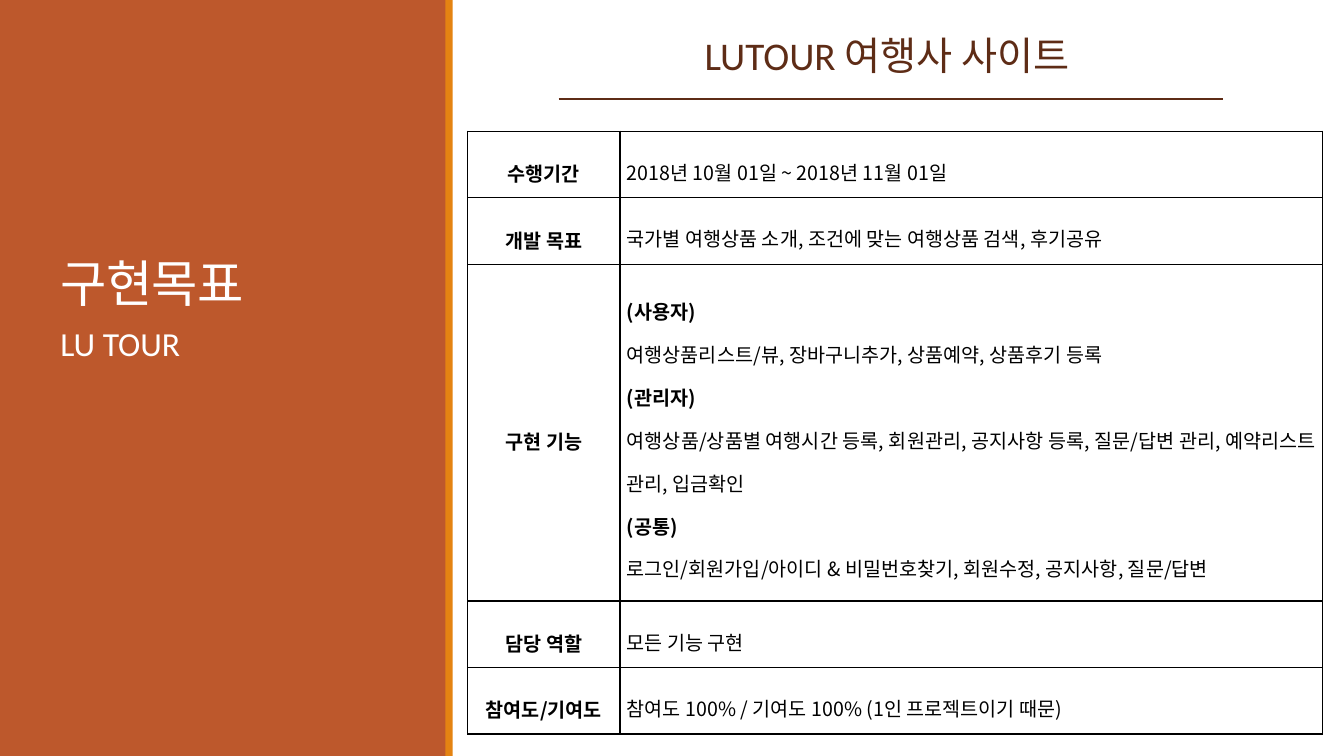
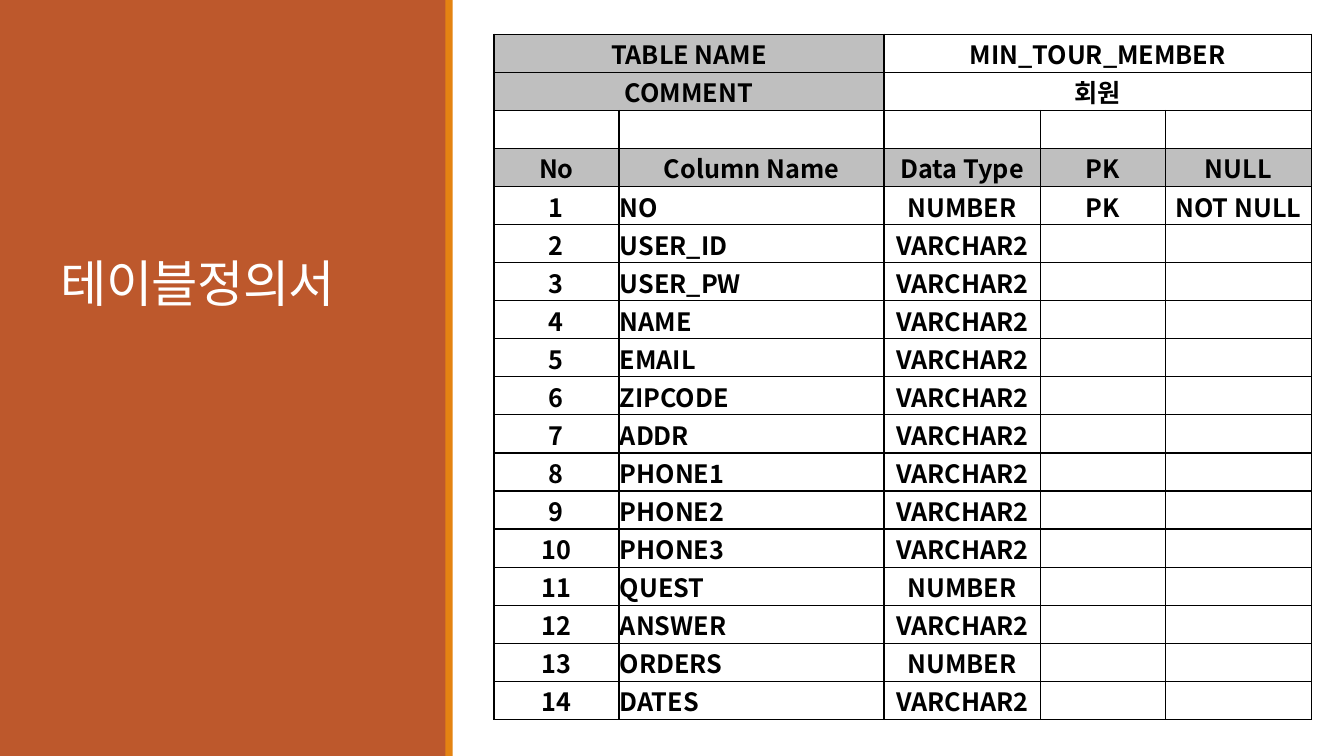
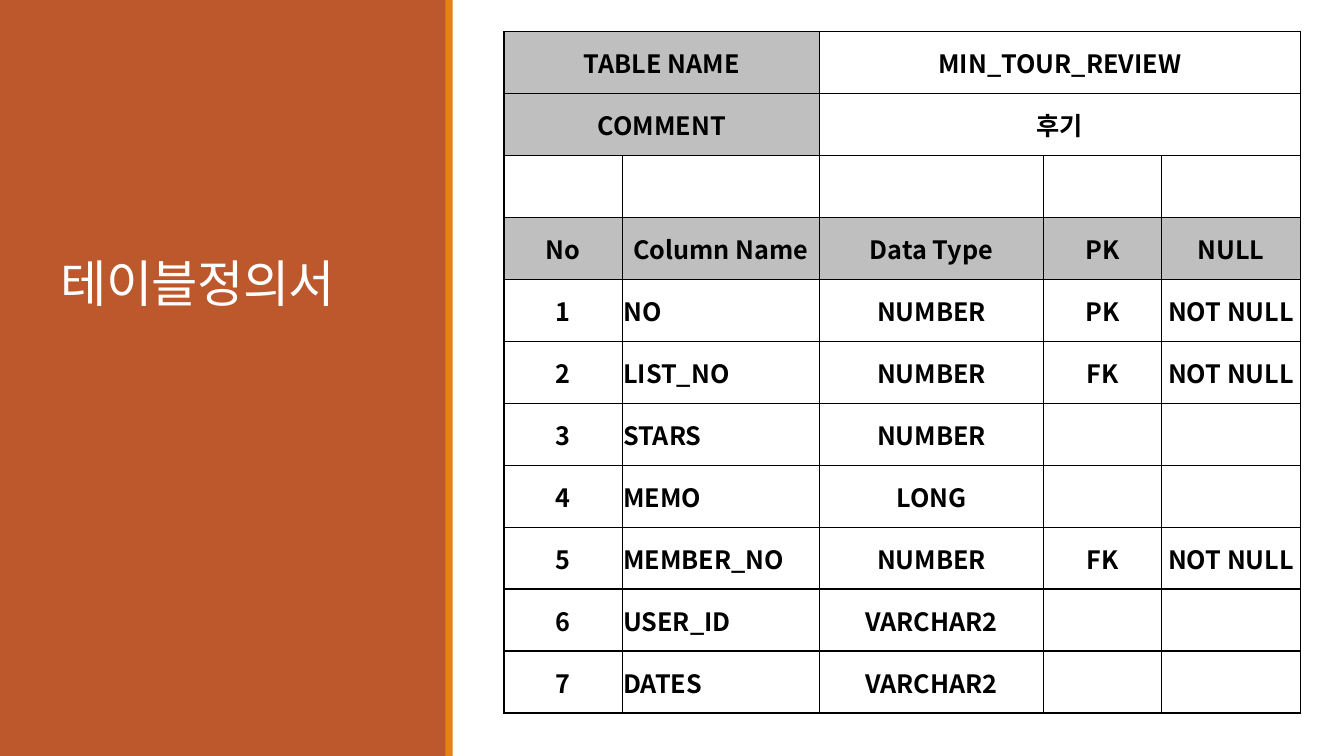
import itertools
from dataclasses import dataclass

import pptx
import pptx.dml.color
import pptx.enum.shapes
import pptx.enum.text
import pptx.oxml
import pptx.oxml.ns
import pptx.util

Pt = pptx.util.Pt
ALIGN = pptx.enum.text.PP_ALIGN
ANCHOR = pptx.enum.text.MSO_ANCHOR


@dataclass(frozen=True)
class Theme:
    panel: str = "BD582C"
    stripe: str = "E48312"
    heading: str = "5E2C16"
    white: str = "FFFFFF"
    black: str = "000000"
    header: str = "BFBFBF"
    latin: str = "Calibri"
    korean: str = "Noto Sans CJK KR"
    title_size: float = 36
    heading_size: float = 28
    subtitle_size: float = 24
    schema_size: float = 18
    goal_size: float = 14


THEME = Theme()

# Content
GOAL_TITLE = "구현목표"
GOAL_SUBTITLE = "LU TOUR"
GOAL_HEADING = "LUTOUR 여행사 사이트"
GOALS = [
    ("수행기간", ["2018년 10월 01일 ~ 2018년 11월 01일"]),
    ("개발 목표", ["국가별 여행상품 소개, 조건에 맞는 여행상품 검색, 후기공유"]),
    ("구현 기능", [
        "(사용자)",
        "여행상품리스트/뷰, 장바구니추가, 상품예약, 상품후기 등록",
        "(관리자)",
        "여행상품/상품별 여행시간 등록, 회원관리, 공지사항 등록, 질문/답변 관리, "
        "예약리스트 관리, 입금확인",
        "(공통)",
        "로그인/회원가입/아이디 & 비밀번호찾기, 회원수정, 공지사항, 질문/답변",
    ]),
    ("담당 역할", ["모든 기능 구현"]),
    ("참여도/기여도", ["참여도 100% / 기여도 100% (1인 프로젝트이기 때문)"]),
]
GOAL_COLUMNS = [108.6, 501.8]
GOAL_ROWS = [47.5, 47.5, 240.6, 47.5, 47.5]

SCHEMA_TITLE = "테이블정의서"
SCHEMA_HEADER = ["No", "Column Name", "Data Type", "PK", "NULL"]
# Each field is name, type and key; a key column is always NOT NULL
SCHEMAS = [
    {
        "name": "MIN_TOUR_MEMBER", "comment": "회원",
        "left": 352.8, "top": 24.5, "row_height": 27.2,
        "columns": [89.3, 189.4, 111.6, 89.3, 104.4],
        "fields": [
            ("NO", "NUMBER", "PK"), ("USER_ID", "VARCHAR2", ""),
            ("USER_PW", "VARCHAR2", ""), ("NAME", "VARCHAR2", ""),
            ("EMAIL", "VARCHAR2", ""), ("ZIPCODE", "VARCHAR2", ""),
            ("ADDR", "VARCHAR2", ""), ("PHONE1", "VARCHAR2", ""),
            ("PHONE2", "VARCHAR2", ""), ("PHONE3", "VARCHAR2", ""),
            ("QUEST", "NUMBER", ""), ("ANSWER", "VARCHAR2", ""),
            ("ORDERS", "NUMBER", ""), ("DATES", "VARCHAR2", ""),
        ],
    },
    {
        "name": "MIN_TOUR_REVIEW", "comment": "후기",
        "left": 360, "top": 22.5, "row_height": 44.25,
        "columns": [84.5, 141, 160, 84.5, 98.8],
        "fields": [
            ("NO", "NUMBER", "PK"), ("LIST_NO", "NUMBER", "FK"),
            ("STARS", "NUMBER", ""), ("MEMO", "LONG", ""),
            ("MEMBER_NO", "NUMBER", "FK"), ("USER_ID", "VARCHAR2", ""),
            ("DATES", "VARCHAR2", ""),
        ],
    },
]


def rgb(value):
    return pptx.dml.color.RGBColor.from_string(value)


# Text
def add_run(paragraph, text, size, color, font=THEME.latin, bold=False, spacing=None):
    run = paragraph.add_run()
    run.text = text
    run.font.size = Pt(size)
    run.font.bold = bold
    run.font.color.rgb = rgb(color)
    run.font.name = font
    properties = run._r.get_or_add_rPr()
    east_asian = pptx.oxml.parse_xml(
        f'<a:ea {pptx.oxml.ns.nsdecls("a")} typeface="{THEME.korean}"/>')
    properties.append(east_asian)
    if spacing is not None:
        properties.set("spc", str(round(spacing * 100)))


def add_mixed_runs(paragraph, text, bold):
    """Hangul in one font, other characters in the second; a space stays with what precedes it."""
    kinds, hangul = [], False
    for character in text:
        if character != " ":
            hangul = "가" <= character <= "힣"
        kinds.append((hangul, character))
    for hangul, group in itertools.groupby(kinds, key=lambda pair: pair[0]):
        add_run(paragraph, "".join(character for _, character in group), THEME.goal_size,
                THEME.black, THEME.latin if hangul else THEME.korean, bold)


def add_text(slide, box, text, size, color, alignment, side_margin):
    shape = slide.shapes.add_textbox(*map(Pt, box))
    frame = shape.text_frame
    frame.word_wrap = True
    frame.margin_left = frame.margin_right = Pt(side_margin)
    paragraph = frame.paragraphs[0]
    paragraph.alignment = alignment
    paragraph.line_spacing = 0.9
    paragraph.space_after = Pt(2)
    add_run(paragraph, text, size, color)


# Shared slide frame
def prepare_layout(slide, layout):
    for placeholder in list(layout.placeholders)[1:]:
        placeholder.element.getparent().remove(placeholder.element)
    for left, width, color in [(0, 319, THEME.panel), (318.2, 5.2, THEME.stripe)]:
        band = slide.shapes.add_shape(pptx.enum.shapes.MSO_SHAPE.RECTANGLE,
                                      Pt(left), 0, Pt(width), Pt(540))
        band.shadow.inherit = False
        band.fill.solid()
        band.fill.fore_color.rgb = rgb(color)
        band.line.fill.background()
        layout.shapes.element.append(band.element)


def add_slide(presentation, title):
    layout = presentation.slide_layouts[5]
    slide = presentation.slides.add_slide(layout)
    if len(presentation.slides) == 1:
        prepare_layout(slide, layout)
    shape = slide.shapes.title
    shape.left, shape.top, shape.width, shape.height = map(Pt, (36, 46.8, 252, 180))
    shape.text_frame.vertical_anchor = ANCHOR.BOTTOM
    paragraph = shape.text_frame.paragraphs[0]
    paragraph.alignment = ALIGN.LEFT
    paragraph.line_spacing = 0.85
    add_run(paragraph, title, THEME.title_size, THEME.white, spacing=-0.5)
    return slide


# Tables
def add_table(slide, left, top, columns, rows):
    table = slide.shapes.add_table(len(rows), len(columns), Pt(left), Pt(top),
                                   Pt(sum(columns)), Pt(sum(rows))).table
    table.first_row = table.horz_banding = False
    for column, width in zip(table.columns, columns):
        column.width = Pt(width)
    for row, height in zip(table.rows, rows):
        row.height = Pt(height)
    return table


def style_cell(cell, fill, margins):
    properties = cell._tc.get_or_add_tcPr()
    for side in ("lnL", "lnR", "lnT", "lnB"):
        properties.append(pptx.oxml.parse_xml(
            f'<a:{side} {pptx.oxml.ns.nsdecls("a")} w="{Pt(1)}"><a:solidFill>'
            f'<a:srgbClr val="{THEME.black}"/></a:solidFill></a:{side}>'))
    cell.fill.solid()
    cell.fill.fore_color.rgb = rgb(fill)
    cell.vertical_anchor = ANCHOR.MIDDLE
    cell.margin_left, cell.margin_top, cell.margin_right, cell.margin_bottom = map(Pt, margins)


def fill_goal_cell(cell, lines, alignment, line_spacing, is_label):
    style_cell(cell, THEME.white, (4.9, 1.4, 4.9, 1.4))
    frame = cell.text_frame
    for index, line in enumerate(lines):
        paragraph = frame.add_paragraph() if index else frame.paragraphs[0]
        paragraph.alignment = alignment
        paragraph.line_spacing = line_spacing
        add_mixed_runs(paragraph, line, is_label or line.startswith("("))


def build_goal_slide(presentation):
    slide = add_slide(presentation, GOAL_TITLE)
    add_text(slide, (378, 22.3, 511.2, 48.2), GOAL_HEADING, THEME.heading_size,
             THEME.heading, ALIGN.CENTER, 0)
    add_text(slide, (36, 230.4, 252, 266.4), GOAL_SUBTITLE, THEME.subtitle_size,
             THEME.white, ALIGN.LEFT, 7.2)

    # Rule under the heading
    rule = slide.shapes.add_connector(pptx.enum.shapes.MSO_CONNECTOR.STRAIGHT,
                                      Pt(399), Pt(71), Pt(873.4), Pt(71))
    rule.line.color.rgb = rgb(THEME.heading)
    rule.line.width = Pt(1.25)
    rule.element.spPr.append(pptx.oxml.parse_xml(
        f'<a:effectLst {pptx.oxml.ns.nsdecls("a")}/>'))

    table = add_table(slide, 334.2, 93.8, GOAL_COLUMNS, GOAL_ROWS)
    for row, (label, lines) in enumerate(GOALS):
        fill_goal_cell(table.cell(row, 0), [label], ALIGN.CENTER, 1.6, True)
        fill_goal_cell(table.cell(row, 1), lines, ALIGN.JUSTIFY, 1.5, False)


def build_schema_slide(presentation, schema):
    slide = add_slide(presentation, SCHEMA_TITLE)
    rows = [
        ["TABLE NAME", "", schema["name"], "", ""],
        ["COMMENT", "", schema["comment"], "", ""],
        [""] * len(SCHEMA_HEADER),
        SCHEMA_HEADER,
    ]
    for number, (name, data_type, key) in enumerate(schema["fields"], 1):
        rows.append([str(number), name, data_type, key, "NOT NULL" if key else ""])

    table = add_table(slide, schema["left"], schema["top"], schema["columns"],
                      [schema["row_height"]] * len(rows))
    for row, values in enumerate(rows):
        for column, value in enumerate(values):
            cell = table.cell(row, column)
            is_header = row == 3 or (row < 2 and column < 2)
            style_cell(cell, THEME.header if is_header else THEME.white, (0.7, 0.7, 0.7, 0))
            if value:
                paragraph = cell.text_frame.paragraphs[0]
                is_name = row > 3 and column == 1
                paragraph.alignment = ALIGN.LEFT if is_name else ALIGN.CENTER
                add_run(paragraph, value, THEME.schema_size, THEME.black, THEME.korean, True)
    for row in range(2):
        table.cell(row, 0).merge(table.cell(row, 1))
        table.cell(row, 2).merge(table.cell(row, 4))


def main():
    presentation = pptx.Presentation()
    presentation.slide_width, presentation.slide_height = Pt(960), Pt(540)
    build_goal_slide(presentation)
    for schema in SCHEMAS:
        build_schema_slide(presentation, schema)
    presentation.save("out.pptx")


if __name__ == "__main__":
    main()
